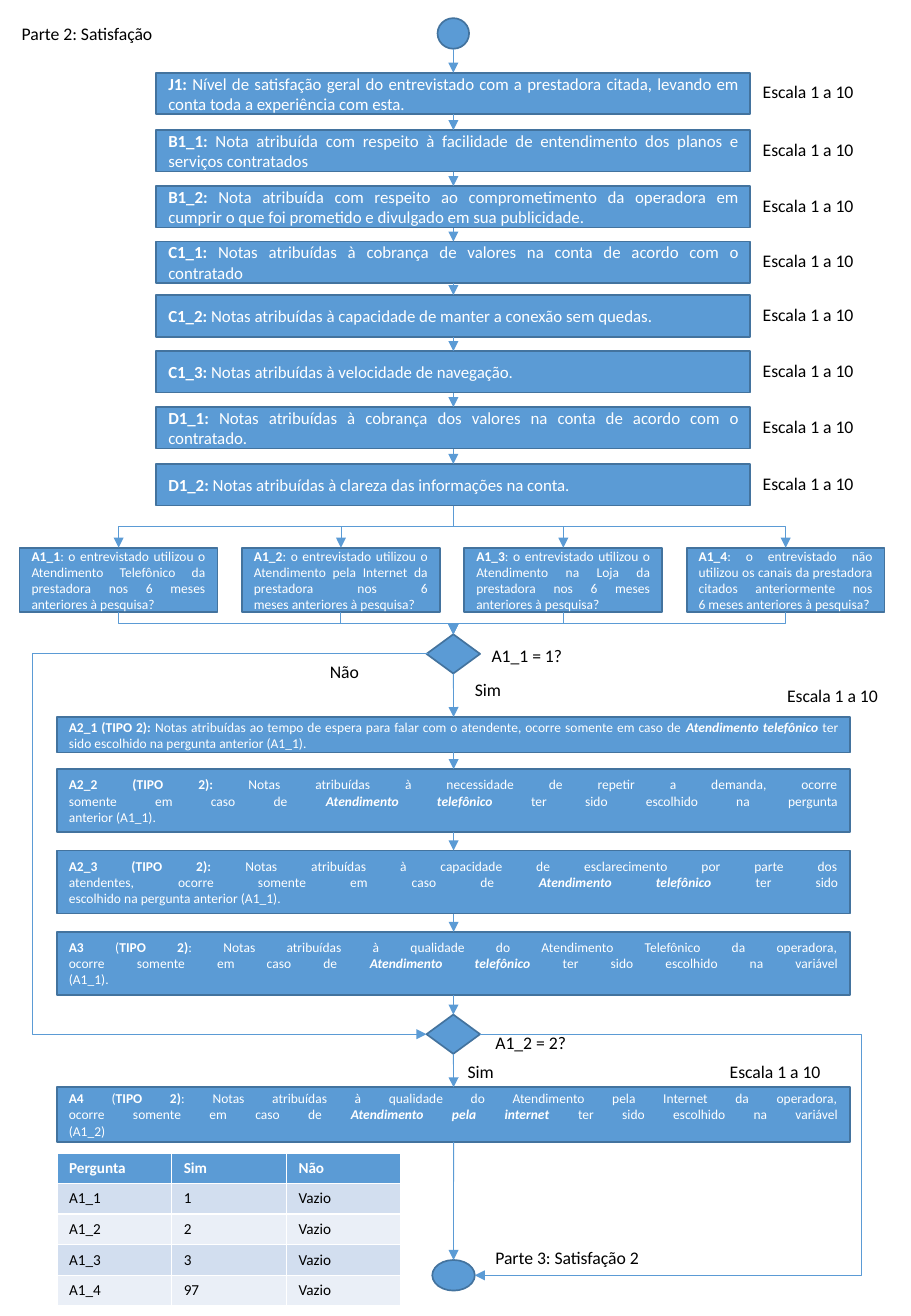
from copy import deepcopy
from dataclasses import dataclass

from lxml.etree import SubElement
from pptx import Presentation
from pptx.dml.color import RGBColor as Rgb
from pptx.enum.shapes import MSO_CONNECTOR as Link, MSO_SHAPE as Preset
from pptx.enum.text import MSO_ANCHOR as Anchor, MSO_AUTO_SIZE as AutoSize, PP_ALIGN as Align
from pptx.oxml.ns import qn
from pptx.util import Cm, Pt


@dataclass(frozen=True)
class Theme:
    font: str = "Calibri"
    blue: Rgb = Rgb(0x5B, 0x9B, 0xD5)
    edge: Rgb = Rgb(0x43, 0x73, 0x9E)
    white: Rgb = Rgb(255, 255, 255)
    black: Rgb = Rgb(0, 0, 0)
    bands: tuple = (Rgb(0xD2, 0xDE, 0xEF), Rgb(0xEA, 0xEF, 0xF7))
    label: float = 10.5
    question: float = 10
    detail: float = 8
    cell: float = 9


class FlowSlide:
    def __init__(self, presentation, theme):
        self.theme = theme
        self.slide = presentation.slides.add_slide(presentation.slide_layouts[5])
        self.shapes = self.slide.shapes

    def add_runs(self, paragraph, runs, size, color):
        for text, style in runs:
            for index, line in enumerate(text.split("\n")):
                if index:
                    paragraph.add_line_break()
                    paragraph._p[-1].append(deepcopy(run._r.rPr))
                run = paragraph.add_run()
                run.text = line
                run.font.name = self.theme.font
                run.font.size = Pt(size)
                run.font.bold = "b" in style
                run.font.italic = "i" in style
                run.font.color.rgb = color

    def title(self, text, left, top, width, height):
        title = self.shapes.title
        title.left, title.top, title.width, title.height = map(Cm, (left, top, width, height))
        frame = title.text_frame
        frame.auto_size = AutoSize.NONE
        frame.vertical_anchor = Anchor.TOP
        paragraph = frame.paragraphs[0]
        paragraph.alignment = Align.LEFT
        self.add_runs(paragraph, [(text, "")], self.theme.label, self.theme.black)

    def label(self, text, left, top, width=3.15):
        box = self.shapes.add_textbox(Cm(left), Cm(top), Cm(width), Cm(0.71))
        box.text_frame.word_wrap = True
        self.add_runs(box.text_frame.paragraphs[0], [(text, "")], self.theme.label, self.theme.black)

    def node(self, preset, left, top, width, height):
        shape = self.shapes.add_shape(preset, Cm(left), Cm(top), Cm(width), Cm(height))
        shape.shadow.inherit = False
        shape.fill.solid()
        shape.fill.fore_color.rgb = self.theme.blue
        shape.line.color.rgb = self.theme.edge
        shape.line.width = Pt(1)
        return shape

    def box(self, runs, size, left, top, width, height):
        shape = self.node(Preset.RECTANGLE, left, top, width, height)
        frame = shape.text_frame
        frame.word_wrap = True
        frame.vertical_anchor = Anchor.MIDDLE
        frame.paragraphs[0].alignment = Align.JUSTIFY
        self.add_runs(frame.paragraphs[0], runs, size, self.theme.white)
        return shape

    def connector(self, kind, *ends):
        connector = self.shapes.add_connector(kind, *ends)
        connector.line.color.rgb = self.theme.blue
        connector.line.width = Pt(0.5)
        properties = connector._element.spPr
        SubElement(properties.find(qn("a:ln")), qn("a:tailEnd"), type="triangle")
        SubElement(properties, qn("a:effectLst"))
        return connector

    def arrow(self, upper, lower):
        connector = self.connector(Link.STRAIGHT, *bottom(upper), *top_of(lower))
        if upper.auto_shape_type != Preset.OVAL:
            connector.begin_connect(upper, 2)
        if lower.auto_shape_type != Preset.OVAL:
            connector.end_connect(lower, 0)

    def branch(self, upper, lower):
        (x1, y1), (x2, y2) = bottom(upper), top_of(lower)
        middle_x, middle_y = (x1 + x2) // 2, (y1 + y2) // 2
        drop, reach = (y2 - y1) // 2, abs(x2 - x1) // 2
        if x2 > x1:
            drop = -drop
        connector = self.connector(Link.ELBOW, middle_x - drop, middle_y - reach,
                                   middle_x + drop, middle_y + reach)
        frame = connector._element.spPr.find(qn("a:xfrm"))
        frame.set("rot", str((90 if x2 < x1 else 270) * 60000))

    def detour(self, x1, y1, x2, y2, via):
        connector = self.connector(Link.ELBOW, x1, y1, x2, y2)
        geometry = connector._element.spPr.find(qn("a:prstGeom"))
        guides = geometry.find(qn("a:avLst"))
        if guides is None:
            guides = SubElement(geometry, qn("a:avLst"))
        ratio = round((via - x1) / (x2 - x1) * 100000)
        SubElement(guides, qn("a:gd"), name="adj1", fmla=f"val {ratio}")

    def table(self, rows, left, top, column, height):
        count = len(rows[0])
        table = self.shapes.add_table(len(rows), count, Cm(left), Cm(top),
                                      Cm(column * count), Cm(height * len(rows))).table
        for row, values in enumerate(rows):
            for index, value in enumerate(values):
                cell = table.cell(row, index)
                cell.fill.solid()
                cell.fill.fore_color.rgb = self.theme.bands[(row - 1) % 2] if row else self.theme.blue
                color = self.theme.black if row else self.theme.white
                self.add_runs(cell.text_frame.paragraphs[0], [(value, "" if row else "b")],
                              self.theme.cell, color)


def top_of(shape):
    return shape.left + shape.width // 2, shape.top


def bottom(shape):
    return shape.left + shape.width // 2, shape.top + shape.height


def middle(shape):
    return shape.top + shape.height // 2


SCALE = "Escala 1 a 10"
QUESTIONS = [
    (1.52, "J1: ", "Nível de satisfação geral do entrevistado com a prestadora citada, levando em conta toda a experiência com esta."),
    (2.72, "B1_1: ", "Nota atribuída com respeito à facilidade de entendimento dos planos e\nserviços contratados"),
    (3.89, "B1_2: ", "Nota atribuída com respeito ao comprometimento da operadora em\ncumprir o que foi prometido e divulgado em sua publicidade."),
    (5.05, "C1_1: ", "Notas atribuídas à cobrança de valores na conta de acordo com o\ncontratado"),
    (6.17, "C1_2: ", "Notas atribuídas à capacidade de manter a conexão sem quedas."),
    (7.34, "C1_3: ", "Notas atribuídas à velocidade de navegação."),
    (8.51, "D1_1: ", "Notas atribuídas à cobrança dos valores na conta de acordo com o\ncontratado."),
    (9.7, "D1_2: ", "Notas atribuídas à clareza das informações na conta."),
]
CHANNELS = [
    "utilizou o Atendimento Telefônico da prestadora nos 6 meses\nanteriores à pesquisa?",
    "utilizou o Atendimento pela Internet da prestadora nos 6\nmeses anteriores à pesquisa?",
    "utilizou o Atendimento na Loja da prestadora nos 6 meses\nanteriores à pesquisa?",
    "não utilizou os canais da prestadora citados anteriormente nos\n6 meses anteriores à pesquisa?",
]
PHONE = ("Atendimento telefônico ", "bi")
RATINGS = [
    (14.99, 0.74, [("A2_1 (TIPO 2): ", "b"), ("Notas atribuídas ao tempo de espera para falar com o atendente, ocorre somente em caso de ", ""),
                   PHONE, ("ter sido escolhido na pergunta anterior (A1_1).", "")]),
    (16.08, 1.32, [("A2_2 (TIPO 2): ", "b"), ("Notas atribuídas à necessidade de repetir a demanda, ocorre\nsomente em caso de ", ""),
                   PHONE, ("ter sido escolhido na pergunta\nanterior (A1_1).", "")]),
    (17.78, 1.32, [("A2_3 (TIPO 2): ", "b"), ("Notas atribuídas à capacidade de esclarecimento por parte dos\natendentes, ocorre somente em caso de ", ""),
                   PHONE, ("ter sido\nescolhido na pergunta anterior (A1_1).", "")]),
    (19.48, 1.32, [("A3 ", "b"), ("(", ""), ("TIPO 2)", "b"), (": Notas atribuídas à qualidade do Atendimento Telefônico da operadora,\nocorre somente em caso de ", ""),
                   PHONE, ("ter sido escolhido na variável\n(A1_1).", "")]),
    (22.73, 1.14, [("A4 ", "b"), ("(", ""), ("TIPO 2)", "b"), (": Notas atribuídas à qualidade do Atendimento pela Internet da operadora,\nocorre somente em caso de ", ""),
                   ("Atendimento pela internet ", "bi"), ("ter sido escolhido na variável\n(A1_2)", "")]),
]
LABELS = [
    (SCALE, 16.21, 14.2), (SCALE, 15.01, 22.05), ("A1_1 = 1?", 10.03, 13.36), ("Sim", 9.68, 14.07),
    ("Não", 6.65, 13.69), ("A1_2 = 2?", 10.11, 21.44), ("Sim", 9.53, 22.05),
    ("Parte 3: Satisfação 2", 10.11, 25.93, 5.87),
]
ANSWERS = [("Pergunta", "Sim", "Não")] + [
    (f"A1_{number}", code, "Vazio") for number, code in enumerate(("1", "2", "3", "97"), 1)]


def main():
    presentation = Presentation()
    presentation.slide_width, presentation.slide_height = Cm(19.05), Cm(27.51)
    theme = Theme()
    flow = FlowSlide(presentation, theme)
    flow.title("Parte 2: Satisfação", 0.2, 0.36, 5.87, 0.74)

    start = flow.node(Preset.OVAL, 9.15, 0.38, 0.66, 0.64)
    questions = []
    for top, code, text in QUESTIONS:
        questions.append(flow.box([(code, "b"), (text, "")], theme.question, 3.27, top, 12.42, 0.87))
        flow.label(SCALE, 15.7, top + 0.05)
    channels = [flow.box([(f"A1_{index + 1}", "b"), (f": o entrevistado {text}", "")], theme.detail,
                         0.41 + 4.65 * index, 11.45, 4.14, 1.35) for index, text in enumerate(CHANNELS)]
    phone, internet = [flow.node(Preset.DIAMOND, 8.92, top, 1.12, 0.82) for top in (13.26, 21.21)]
    ratings = [flow.box(runs, theme.detail, 1.19, top, 16.59, height) for top, height, runs in RATINGS]
    finish = flow.node(Preset.OVAL, 9.04, 26.34, 0.89, 0.64)

    for chain in ([start, *questions], [phone, *ratings[:4], internet, ratings[4], finish]):
        for upper, lower in zip(chain, chain[1:]):
            flow.arrow(upper, lower)
    for channel in channels:
        flow.branch(questions[-1], channel)
        flow.branch(channel, phone)
    flow.detour(phone.left + Cm(0.04), middle(phone), internet.left, middle(internet), Cm(0.69))
    flow.detour(internet.left + internet.width, middle(internet),
                finish.left + finish.width, middle(finish), Cm(18.01))

    for label in LABELS:
        flow.label(*label)
    flow.table(ANSWERS, 1.19, 24.1, 2.4, 0.64)
    presentation.save("out.pptx")


if __name__ == "__main__":
    main()
